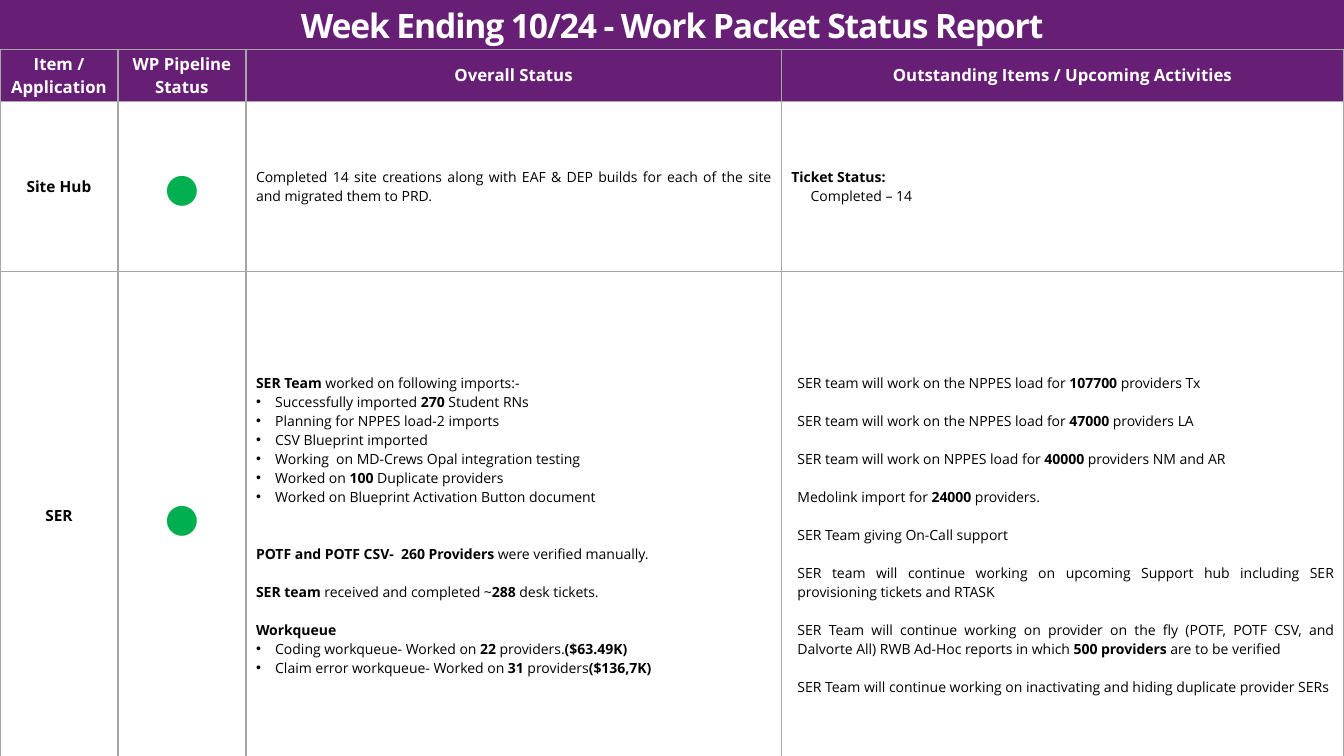
from dataclasses import dataclass
from itertools import product

from lxml.etree import SubElement
from pptx import Presentation
from pptx.dml.color import RGBColor
from pptx.enum.shapes import MSO_SHAPE
from pptx.enum.text import MSO_ANCHOR, PP_ALIGN
from pptx.oxml.ns import qn
from pptx.util import Inches, Pt

FONT = "Open Sans"
PURPLE, WHITE, BLACK, GREEN, GREY = "671E75", "FFFFFF", "000000", "00B050", "A6A6A6"
LINE_PT = 13.6  # height of one 10 pt text line
COLUMNS = (1.17, 1.27, 5.31, 5.58)
ROWS = (0.47, 1.69, 4.85)
TITLE_HEIGHT = 0.49


@dataclass
class Para:
    """One paragraph; **double stars** enclose bold words, gap counts lines left free above."""
    text: str
    gap: int = 0
    indent: float = 0
    bullet: bool = False


@dataclass
class Style:
    size: float
    color: str
    align: PP_ALIGN = PP_ALIGN.CENTER
    before: float = 0


@dataclass
class CellSpec:
    paras: list[Para]
    style: Style
    fill: str | None = None
    pad: float = 0.02
    lead: float = 0


HEADER = Style(12, WHITE)
ITEM = Style(11, BLACK)
LIGHT = Style(28, GREEN, before=4)
BODY = Style(10, BLACK, PP_ALIGN.JUSTIFY)


def rgb(value: str) -> RGBColor:
    return RGBColor.from_string(value)


def bullet(text: str) -> Para:
    return Para(text, indent=0.19, bullet=True)


def activity(text: str, gap: int = 1) -> Para:
    return Para(text, gap, indent=0.06)


def header(text: str) -> CellSpec:
    return CellSpec([Para(f"**{text}**")], HEADER, PURPLE, 0.03)


def item(text: str) -> CellSpec:
    return CellSpec([Para(f"**{text}**")], ITEM)


def light() -> CellSpec:
    return CellSpec([Para("**●**")], LIGHT)


SER_STATUS = [
    Para("**SER Team **worked on following imports:-"),
    bullet("Successfully imported **270** Student RNs"),
    bullet("Planning for NPPES load-2 imports"),
    bullet("CSV Blueprint imported"),
    bullet("Working  on MD-Crews Opal integration testing"),
    bullet("Worked on **100 **Duplicate providers"),
    bullet("Worked on Blueprint Activation Button document"),
    Para("**POTF and POTF CSV-  260 Providers** were verified manually.", 2),
    Para("**SER team **received and completed ~**288 **desk tickets.", 1),
    Para("**Workqueue**", 1),
    bullet("Coding workqueue- Worked on **22 **providers.**($63.49K)**"),
    bullet("Claim error workqueue- Worked on **31 **providers**($136,7K)**"),
]
SER_ACTIVITIES = [
    activity("SER team will work on the NPPES load for **107700 **providers Tx", 0),
    activity("SER team will work on the NPPES load for **47000 **providers LA"),
    activity("SER team will work on NPPES load for **40000 **providers NM and AR"),
    activity("Medolink import for **24000 **providers."),
    activity("SER Team giving On-Call support"),
    activity("SER team will continue working on upcoming Support hub including SER "
             "provisioning tickets and RTASK"),
    activity("SER Team will continue working on provider on the fly (POTF, POTF CSV, and "
             "Dalvorte All) RWB Ad-Hoc reports in which **500 providers** are to be verified"),
    activity("SER Team will continue working on inactivating and hiding duplicate provider SERs"),
]
GRID = [
    [header(t) for t in ("Item / Application", "WP Pipeline Status", "Overall Status",
                         "Outstanding Items / Upcoming Activities")],
    [item("Site Hub"), light(),
     CellSpec([Para("Completed 14 site creations along with EAF & DEP builds for each "
                    "of the site and migrated them to PRD.")], BODY),
     CellSpec([Para("**Ticket Status:**"), Para("Completed – 14", indent=0.19)], BODY)],
    [item("SER"), light(),
     CellSpec(SER_STATUS, BODY, lead=0.19), CellSpec(SER_ACTIVITIES, BODY, lead=0.38)],
]


def add_runs(p, text: str, size: float, color: str) -> None:
    for i, part in enumerate(text.split("**")):
        if part:
            r = p.add_run()
            r.text = part
            for name, value in {"name": FONT, "size": Pt(size), "bold": i % 2 == 1}.items():
                setattr(r.font, name, value)
            r.font.color.rgb = rgb(color)


def add_para(p, para: Para, style: Style) -> None:
    p.alignment = style.align
    p.space_before = Pt(style.before + para.gap * LINE_PT)
    pPr = p._p.get_or_add_pPr()
    pPr.set("marL", str(Inches(para.indent)))
    pPr.set("indent", str(-Inches(para.indent) if para.bullet else 0))
    if para.bullet:
        SubElement(pPr, qn("a:buFont"), typeface="Arial")
        SubElement(pPr, qn("a:buChar"), char="•")
    add_runs(p, para.text, style.size, style.color)


def add_borders(cell) -> None:
    tcPr = cell._tc.get_or_add_tcPr()
    for side in "LRTB":
        ln = SubElement(tcPr, qn(f"a:ln{side}"), w=str(Pt(1)))
        SubElement(SubElement(ln, qn("a:solidFill")), qn("a:srgbClr"), val=GREY)


def fill_cell(cell, spec: CellSpec) -> None:
    layout = {
        "vertical_anchor": MSO_ANCHOR.MIDDLE,
        "margin_left": Inches(0.1), "margin_right": Inches(0.1),
        "margin_top": Inches(spec.pad + spec.lead), "margin_bottom": Inches(spec.pad),
    }
    for name, value in layout.items():
        setattr(cell, name, value)
    add_borders(cell)
    if spec.fill:
        cell.fill.solid()
        cell.fill.fore_color.rgb = rgb(spec.fill)
    else:
        cell.fill.background()
    tf = cell.text_frame
    for i, para in enumerate(spec.paras):
        add_para(tf.add_paragraph() if i else tf.paragraphs[0], para, spec.style)


def add_title(s, text: str) -> None:
    sp = s.shapes.add_shape(MSO_SHAPE.RECTANGLE, 0, 0, Inches(sum(COLUMNS)), Inches(TITLE_HEIGHT))
    sp.shadow.inherit = False
    sp.fill.solid()
    sp.fill.fore_color.rgb = rgb(PURPLE)
    sp.line.fill.background()
    tf = sp.text_frame
    layout = {"word_wrap": True, "vertical_anchor": MSO_ANCHOR.MIDDLE, "margin_left": 0,
              "margin_right": 0, "margin_top": Inches(0.05), "margin_bottom": 0}
    for name, value in layout.items():
        setattr(tf, name, value)
    p = tf.paragraphs[0]
    p.alignment = PP_ALIGN.CENTER
    p.line_spacing = 0.9
    add_runs(p, f"**{text}**", 24, WHITE)
    p.runs[0]._r.get_or_add_rPr().set("spc", "-80")


def add_status_table(s) -> None:
    table = s.shapes.add_table(len(ROWS), len(COLUMNS), 0, Inches(TITLE_HEIGHT),
                               Inches(sum(COLUMNS)), Inches(sum(ROWS))).table
    table.first_row = table.horz_banding = False
    for column, width in zip(table.columns, COLUMNS):
        column.width = Inches(width)
    for row, height in zip(table.rows, ROWS):
        row.height = Inches(height)
    for i, j in product(range(len(ROWS)), range(len(COLUMNS))):
        fill_cell(table.cell(i, j), GRID[i][j])


def main() -> None:
    prs = Presentation()
    prs.slide_width, prs.slide_height = Inches(13.33), Inches(7.5)
    s = prs.slides.add_slide(prs.slide_layouts[6])
    add_title(s, "Week Ending 10/24 - Work Packet Status Report")
    add_status_table(s)
    prs.save("out.pptx")


if __name__ == "__main__":
    main()
